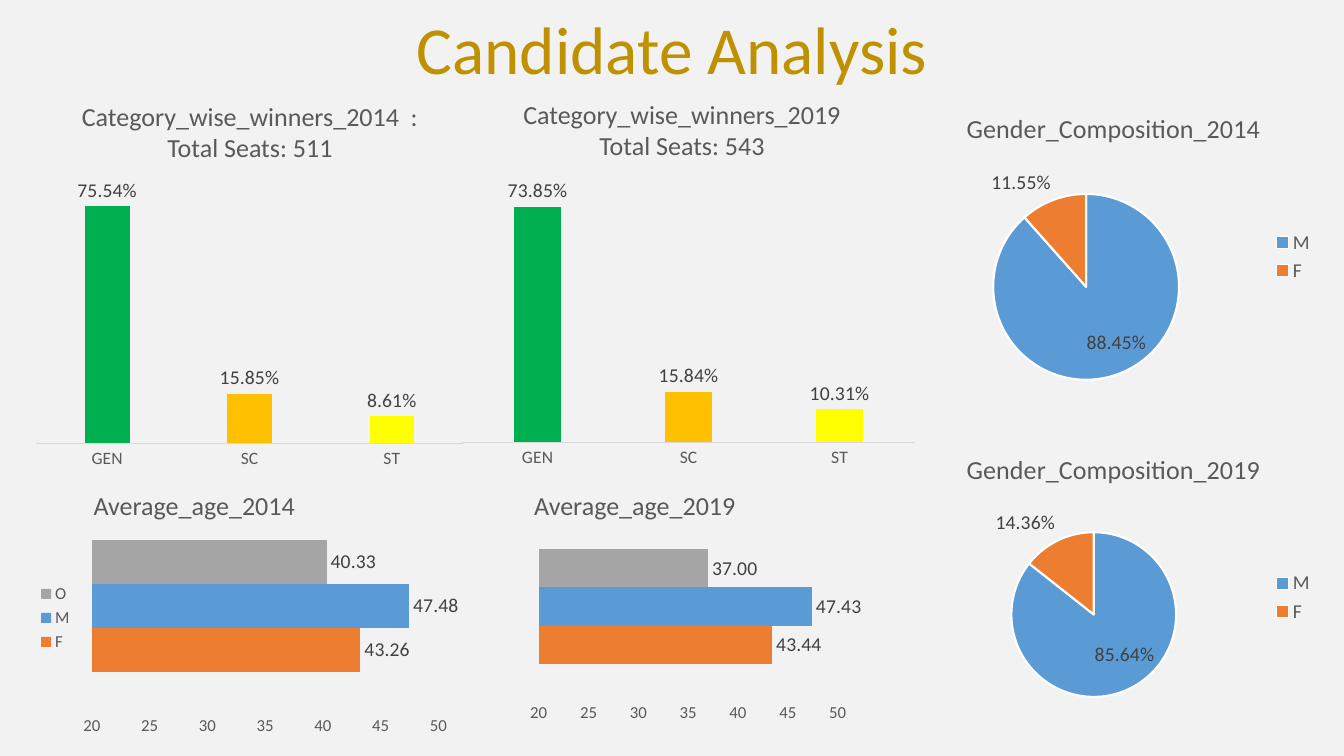
from lxml.etree import SubElement
from pptx import Presentation
from pptx.chart.data import CategoryChartData
from pptx.dml.color import RGBColor
from pptx.enum.chart import (XL_CHART_TYPE, XL_LABEL_POSITION, XL_LEGEND_POSITION,
                             XL_TICK_LABEL_POSITION, XL_TICK_MARK)
from pptx.enum.text import MSO_ANCHOR, PP_ALIGN
from pptx.oxml.ns import qn
from pptx.util import Inches, Pt

PAPER = RGBColor(0xF2, 0xF2, 0xF2)
GOLD = RGBColor(0xBF, 0x90, 0x00)
GREY = RGBColor(0x59, 0x59, 0x59)
DARK = RGBColor(0x40, 0x40, 0x40)
RULE = RGBColor(0xD9, 0xD9, 0xD9)
WHITE = RGBColor(0xFF, 0xFF, 0xFF)
BLUE = RGBColor(0x5B, 0x9B, 0xD5)
ORANGE = RGBColor(0xED, 0x7D, 0x31)
SILVER = RGBColor(0xA5, 0xA5, 0xA5)
GREEN = RGBColor(0x00, 0xB0, 0x50)
AMBER = RGBColor(0xFF, 0xC0, 0x00)
YELLOW = RGBColor(0xFF, 0xFF, 0x00)
FONT = "Calibri"


def write_text(frame, text, size=18.6, color=GREY, align=PP_ALIGN.LEFT):
    frame.text = text
    for paragraph in frame.paragraphs:
        paragraph.alignment = align
        paragraph.font.size = Pt(size)
        paragraph.font.name = FONT
        paragraph.font.bold = False
        paragraph.font.color.rgb = color


def add_plot(kind, box, categories, series, number_format, label_position, inner):
    data = CategoryChartData(number_format=number_format)
    data.categories = categories
    for name, values in series:
        data.add_series(name, values)
    chart = slide.shapes.add_chart(kind, *[Inches(n) for n in box], data).chart
    chart.has_title = False
    chart.has_legend = False
    chart.font.name = FONT
    chart.font.size = Pt(10)
    plot = chart.plots[0]
    plot.has_data_labels = True
    labels = plot.data_labels
    labels.show_value = True
    labels.show_percentage = False
    labels.number_format = number_format
    labels.number_format_is_linked = False
    labels.position = label_position
    labels.font.size = Pt(14)
    labels.font.name = FONT
    labels.font.color.rgb = DARK

    area = plot._element.getparent()
    for old_layout in area.findall(qn("c:layout")):
        area.remove(old_layout)
    layout = SubElement(area, qn("c:layout"))
    area.insert(0, layout)
    manual = SubElement(layout, qn("c:manualLayout"))
    settings = [("layoutTarget", "inner"), ("xMode", "edge"), ("yMode", "edge")]
    for tag, value in settings + list(zip("xywh", inner)):
        SubElement(manual, qn(f"c:{tag}")).set("val", str(value))
    return chart


deck = Presentation()
deck.slide_width, deck.slide_height = Inches(13.33), Inches(7.5)
slide = deck.slides.add_slide(deck.slide_layouts[5])
slide.background.fill.solid()
slide.background.fill.fore_color.rgb = PAPER

heading = slide.shapes.title
heading.left, heading.top = Inches(4.01), Inches(0.02)
heading.width, heading.height = Inches(5.31), Inches(0.91)
heading.text_frame.vertical_anchor = MSO_ANCHOR.TOP
write_text(heading.text_frame, "Candidate Analysis", size=48, color=GOLD, align=PP_ALIGN.CENTER)

genders = [
    (2014, 0.93, (0.8845, 0.1155), (0.215, 0.307, 0.44, 0.573)),
    (2019, 4.31, (0.8564, 0.1436), (0.258, 0.3, 0.39, 0.507)),
]
for year, top, shares, inner in genders:
    title = f"Gender_Composition_{year}"
    gender = add_plot(XL_CHART_TYPE.PIE, (8.95, top, 4.19, 3.23), ["M", "F"],
                      [(title, shares)], "0.00%", XL_LABEL_POSITION.BEST_FIT, inner)
    gender.has_title = True
    write_text(gender.chart_title.text_frame, title, align=PP_ALIGN.CENTER)
    gender.has_legend = True
    gender.legend.position = XL_LEGEND_POSITION.RIGHT
    gender.legend.include_in_layout = False
    gender.legend.font.size = Pt(14)
    gender.legend.font.color.rgb = GREY
    gender.plots[0].vary_by_categories = True
    for index, color in enumerate([BLUE, ORANGE]):
        wedge = gender.plots[0].series[0].points[index].format
        wedge.fill.solid()
        wedge.fill.fore_color.rgb = color
        wedge.line.color.rgb = WHITE
        wedge.line.width = Pt(1.5)

winners = [
    (0.27, 4.42, (0.7554, 0.1585, 0.0861), (0.02, 0.042, 0.958, 0.852)),
    (4.49, 4.68, (0.7385, 0.1584, 0.1031), (0.02, 0.027, 0.96, 0.864)),
]
for left, width, shares, inner in winners:
    winner = add_plot(XL_CHART_TYPE.COLUMN_CLUSTERED, (left, 1.77, width, 2.94),
                      ["GEN", "SC", "ST"], [("Winners", shares)], "0.00%",
                      XL_LABEL_POSITION.OUTSIDE_END, inner)
    plot = winner.plots[0]
    plot.gap_width, plot.overlap = 219, -27
    plot.vary_by_categories = False
    for index, color in enumerate([GREEN, AMBER, YELLOW]):
        fill = plot.series[0].points[index].format.fill
        fill.solid()
        fill.fore_color.rgb = color
    category_axis, share_axis = winner.category_axis, winner.value_axis
    category_axis.major_tick_mark = XL_TICK_MARK.NONE
    category_axis.tick_labels.font.size = Pt(12.5)
    category_axis.tick_labels.font.color.rgb = GREY
    category_axis.format.line.color.rgb = RULE
    category_axis.format.line.width = Pt(0.75)
    share_axis.minimum_scale, share_axis.maximum_scale = 0, 0.8
    share_axis.has_major_gridlines = False
    share_axis.visible = False

ages = [
    (0.27, 4.28, (43.26, 47.48, 40.33), (0.15, 0.017, 0.803, 0.87), True),
    (4.87, 4.05, (43.44, 47.43, 37), (0.117, 0.076, 0.732, 0.756), False),
]
for left, width, averages, inner, has_legend in ages:
    age = add_plot(XL_CHART_TYPE.BAR_CLUSTERED, (left, 4.92, width, 2.42), ["1"],
                   [(gender, [average]) for gender, average in zip("FMO", averages)],
                   "#,##0.00", XL_LABEL_POSITION.OUTSIDE_END, inner)
    plot = age.plots[0]
    plot.gap_width, plot.overlap = 182, 0
    plot.vary_by_categories = False
    for bar, color in zip(plot.series, [ORANGE, BLUE, SILVER]):
        bar.format.fill.solid()
        bar.format.fill.fore_color.rgb = color
    age.category_axis.visible = False
    age_axis = age.value_axis
    age_axis.minimum_scale, age_axis.maximum_scale = 20, 50
    age_axis.major_unit = 5
    age_axis.has_major_gridlines = False
    age_axis.major_tick_mark = XL_TICK_MARK.NONE
    age_axis.tick_label_position = XL_TICK_LABEL_POSITION.NEXT_TO_AXIS
    age_axis.tick_labels.number_format = "General"
    age_axis.tick_labels.number_format_is_linked = False
    age_axis.tick_labels.font.size = Pt(12)
    age_axis.tick_labels.font.color.rgb = GREY
    age_axis.format.line.fill.background()
    if has_legend:
        age.has_legend = True
        age.legend.position = XL_LEGEND_POSITION.LEFT
        age.legend.include_in_layout = False
        age.legend.font.size = Pt(12)
        age.legend.font.color.rgb = GREY

captions = [
    ("Category_wise_winners_2014  :\nTotal Seats: 511", (0.7, 0.95, 3.56, 0.73), PP_ALIGN.CENTER),
    ("Category_wise_winners_2019\nTotal Seats: 543", (5.05, 0.93, 3.43, 0.73), PP_ALIGN.CENTER),
    ("Average_age_2014", (0.83, 4.81, 2.21, 0.41), PP_ALIGN.LEFT),
    ("Average_age_2019", (5.2, 4.81, 2.21, 0.41), PP_ALIGN.LEFT),
]
for text, box, align in captions:
    caption = slide.shapes.add_textbox(*[Inches(n) for n in box])
    caption.text_frame.word_wrap = False
    write_text(caption.text_frame, text, align=align)

deck.save("out.pptx")
